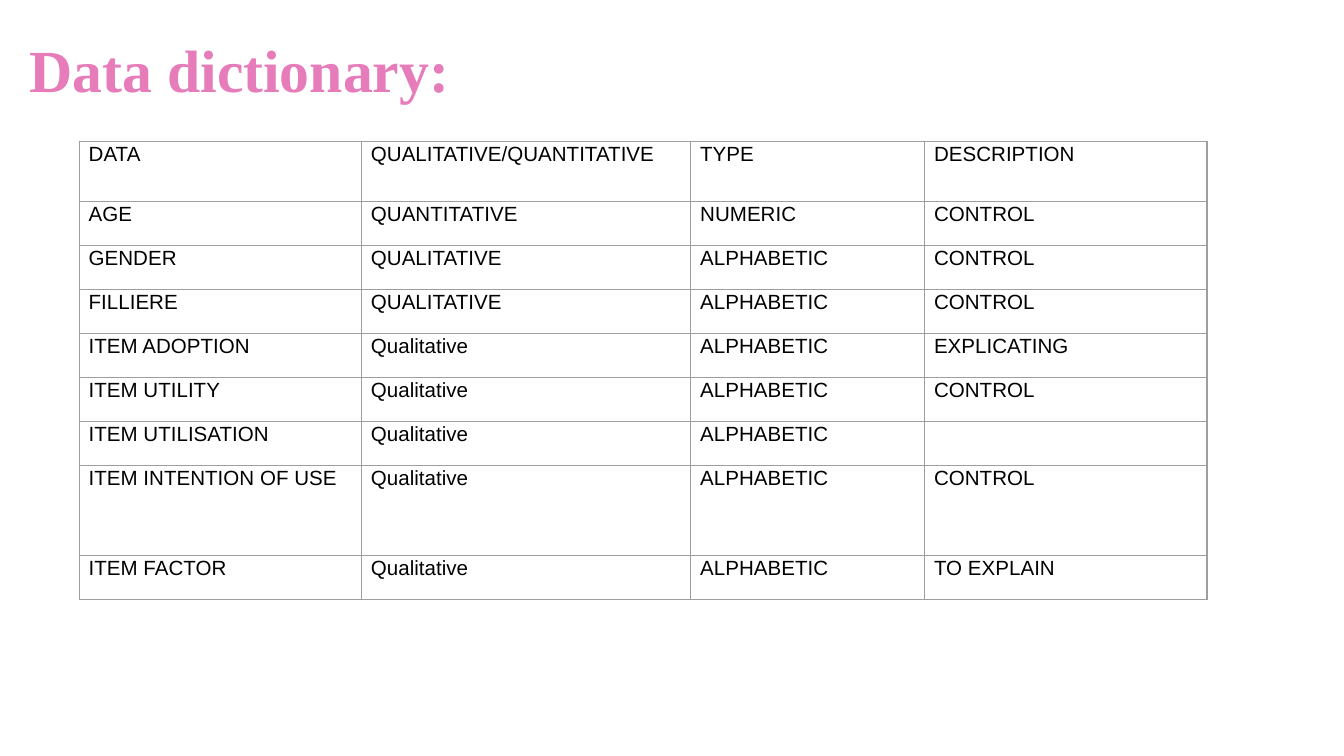
from typing import NamedTuple

from pptx import Presentation
from pptx.dml.color import RGBColor
from pptx.enum.text import MSO_ANCHOR, PP_ALIGN
from pptx.oxml import parse_xml
from pptx.oxml.ns import nsdecls
from pptx.util import Inches, Pt

PINK = RGBColor(0xE6, 0x7C, 0xB9)
BLACK = RGBColor(0x00, 0x00, 0x00)
GREY = RGBColor(0x9E, 0x9E, 0x9E)


class Entry(NamedTuple):
    data: str
    measure: str
    kind: str
    description: str
    share: float = 0.33  # relative row height


ENTRIES = [
    Entry("DATA", "QUALITATIVE/QUANTITATIVE", "TYPE", "DESCRIPTION", 0.45),
    Entry("AGE", "QUANTITATIVE", "NUMERIC", "CONTROL"),
    Entry("GENDER", "QUALITATIVE", "ALPHABETIC", "CONTROL"),
    Entry("FILLIERE", "QUALITATIVE", "ALPHABETIC", "CONTROL"),
    Entry("ITEM ADOPTION", "Qualitative", "ALPHABETIC", "EXPLICATING"),
    Entry("ITEM UTILITY", "Qualitative", "ALPHABETIC", "CONTROL"),
    Entry("ITEM UTILISATION", "Qualitative", "ALPHABETIC", ""),
    Entry("ITEM INTENTION OF USE", "Qualitative", "ALPHABETIC", "CONTROL", 0.67),
    Entry("ITEM FACTOR", "Qualitative", "ALPHABETIC", "TO EXPLAIN"),
]
COLUMN_WIDTHS = [2.1, 2.45, 1.74, 2.1]
TABLE_HEIGHT = 3.41


def write(tf, text: str, size: float, font: str, color: RGBColor, bold: bool) -> None:
    """Set one justified paragraph."""
    tf.text = text
    p = tf.paragraphs[0]
    p.alignment = PP_ALIGN.JUSTIFY
    p.line_spacing = 1.07
    p.space_before = Pt(0)
    p.space_after = Pt(8)
    for r in p.runs:
        r.font.size = Pt(size)
        r.font.name = font
        r.font.bold = bold
        r.font.color.rgb = color


def add_borders(cell) -> None:
    """Draw a thin grey line on all four sides."""
    tc_pr = cell._tc.get_or_add_tcPr()
    for side in ("lnL", "lnR", "lnT", "lnB"):
        tc_pr.append(parse_xml(
            f'<a:{side} {nsdecls("a")} w="{Pt(0.75)}"><a:solidFill>'
            f'<a:srgbClr val="{GREY}"/></a:solidFill></a:{side}>'))


def add_dictionary(s, entries: list[Entry]) -> None:
    table = s.shapes.add_table(
        len(entries), len(COLUMN_WIDTHS), Inches(0.59), Inches(1.05),
        Inches(sum(COLUMN_WIDTHS)), Inches(TABLE_HEIGHT)).table
    table.first_row = table.horz_banding = False
    for column, width in zip(table.columns, COLUMN_WIDTHS):
        column.width = Inches(width)
    shares = sum(entry.share for entry in entries)
    for row, entry in zip(table.rows, entries):
        row.height = Inches(TABLE_HEIGHT * entry.share / shares)
        for cell, text in zip(row.cells, entry[:4]):
            cell.margin_left = cell.margin_right = Inches(0.07)
            cell.margin_top = cell.margin_bottom = 0
            add_borders(cell)
            cell.fill.background()
            if text:
                write(cell.text_frame, text, 11, "Arial", BLACK, False)


def main() -> None:
    # Widescreen page, 16:9
    prs = Presentation()
    prs.slide_width = Inches(10)
    prs.slide_height = Inches(10 * 9 / 16)
    s = prs.slides.add_slide(prs.slide_layouts[5])

    # Title
    title = s.shapes.title
    title.left, title.top = Inches(0.12), Inches(0.11)
    title.width, title.height = Inches(3.46), Inches(0.81)
    tf = title.text_frame
    tf.margin_left = tf.margin_right = Inches(0.1)
    tf.margin_top = tf.margin_bottom = Inches(0.1)
    tf.vertical_anchor = MSO_ANCHOR.TOP
    tf.word_wrap = True
    write(tf, "Data dictionary:", 32, "Times New Roman", PINK, True)

    # Table of survey variables
    add_dictionary(s, ENTRIES)

    prs.save("out.pptx")


if __name__ == "__main__":
    main()
